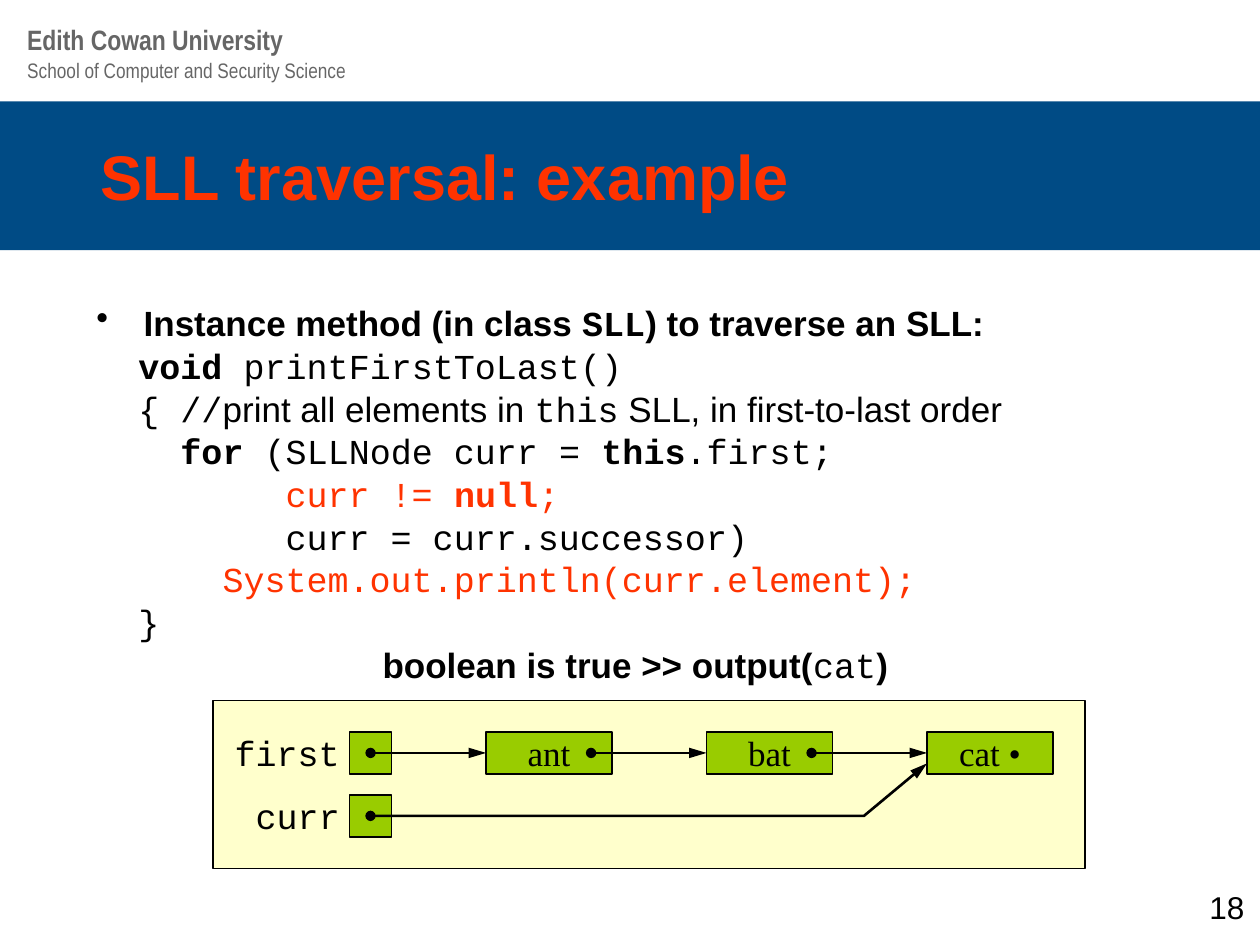
from dataclasses import dataclass

from lxml import etree
from pptx import Presentation
from pptx.dml.color import RGBColor
from pptx.enum.shapes import MSO_CONNECTOR, MSO_SHAPE
from pptx.enum.text import MSO_ANCHOR, PP_ALIGN
from pptx.oxml.ns import qn
from pptx.util import Pt

RECT = MSO_SHAPE.RECTANGLE
LINE = MSO_CONNECTOR.STRAIGHT
TOP, MID = MSO_ANCHOR.TOP, MSO_ANCHOR.MIDDLE
LEFT, MIDST, RIGHT = PP_ALIGN.LEFT, PP_ALIGN.CENTER, PP_ALIGN.RIGHT


@dataclass(frozen=True)
class Theme:
    """Colours, fonts and type sizes of the slide."""
    blue: str = "004B85"
    red: str = "FF3300"
    grey: str = "666666"
    black: str = "000000"
    cream: str = "FFFFCC"
    green: str = "99CC00"
    sans: str = "Arial"
    slim: str = "Arial Narrow"
    mono: str = "Courier New"
    serif: str = "Times New Roman"
    title: int = 36
    body: int = 20
    page: int = 18
    head: int = 16
    sub: int = 12


T = Theme()

CODE = [
    [("  void", T.mono, True), (" printFirstToLast()", T.mono)],
    [("  { //", T.mono), ("print all elements in ", T.sans),
     ("this", T.mono), (" SLL, in first-to-last order", T.sans)],
    [("    for", T.mono, True), (" (SLLNode curr = ", T.mono),
     ("this", T.mono, True), (".first;", T.mono)],
    [("         curr != ", T.mono, False, T.red),
     ("null", T.mono, True, T.red), (";", T.mono, False, T.red)],
    [("         curr = curr.successor)", T.mono)],
    [("      System.out.println(curr.element);", T.mono, False, T.red)],
    [("  }", T.mono)],
]
INTRO = [("Instance method (in class ", T.sans, True),
         ("SLL", T.mono, True), (") to traverse an SLL:", T.sans, True)]
RESULT = [("boolean is true >> output(", T.sans, True),
          ("cat", T.mono), (")", T.sans, True)]


def style(font, face, bold=False, color=T.black):
    """Set the face, weight and colour of a font."""
    font.name, font.bold = face, bold
    font.color.rgb = RGBColor.from_string(color)


def label(frame, text, size, face, bold=False, color=T.black,
          align=LEFT, anchor=TOP, inset=None):
    """Write one line of text in a frame."""
    frame.word_wrap, frame.vertical_anchor = True, anchor
    if inset is not None:
        frame.margin_left = frame.margin_right = Pt(inset)
        frame.margin_top = frame.margin_bottom = Pt(inset)
    para = frame.paragraphs[0]
    para.text, para.alignment = text, align
    para.font.size = Pt(size)
    style(para.font, face, bold, color)


def note(shapes, box, *args, **kwargs):
    """Add a text box with one line of text."""
    area = shapes.add_textbox(*map(Pt, box))
    label(area.text_frame, *args, **kwargs)


def block(shapes, box, fill, edge=True):
    """Add a flat filled rectangle."""
    rect = shapes.add_shape(RECT, *map(Pt, box))
    rect.shadow.inherit = False
    rect.fill.solid()
    rect.fill.fore_color.rgb = RGBColor.from_string(fill)
    if edge:
        rect.line.color.rgb = RGBColor.from_string(T.black)
        rect.line.width = Pt(0.75)
    else:
        rect.line.fill.background()
    return rect


def ink(shape, tip=True):
    """Give a line its stroke, round start and optional arrow tip."""
    shape.line.color.rgb = RGBColor.from_string(T.black)
    shape.line.width = Pt(1.5)
    stroke = shape.line._get_or_add_ln()
    etree.SubElement(stroke, qn("a:headEnd"), type="oval")
    if tip:
        etree.SubElement(stroke, qn("a:tailEnd"), type="triangle",
                         w="med", len="lg")


def link(shapes, x, y, node=None):
    """Draw a dot, with an arrow to the left side of a node if given."""
    wire = shapes.add_connector(LINE, Pt(x), Pt(y), Pt(x), Pt(y))
    if node is not None:
        wire.end_connect(node, 1)
    ink(wire, node is not None)
    etree.SubElement(wire._element.spPr, qn("a:effectLst"))


def header(shapes, box):
    """Place the school names above the title band."""
    x, y, w, h = box
    note(shapes, (x, y + 20, w, 22), "School of Computer and Security Science",
         T.sub, T.slim, color=T.grey)
    note(shapes, (x, y, w, 27), "Edith Cowan University",
         T.head, T.slim, True, T.grey)


def banner(shapes, box):
    """Place the blue band and its title."""
    x, y, w, h = box
    block(shapes, box, T.blue, edge=False)
    note(shapes, (x + 50.5, y + 15, 612, 54), "SLL traversal: example",
         T.title, T.sans, True, T.red, anchor=MID)


def listing(shapes, box):
    """Place the bulleted intro, the code lines and the result."""
    frame = shapes.add_textbox(*map(Pt, box)).text_frame
    frame.word_wrap = True
    rows = [INTRO, *CODE, RESULT]
    for num, row in enumerate(rows):
        para = frame.add_paragraph() if num else frame.paragraphs[0]
        para.line_spacing = 0.8
        if num:
            para.space_before = Pt(5.2)
        props = para._p.get_or_add_pPr()
        props.set("marL", str(Pt(27)))
        props.set("indent", str(Pt(-27)))
        if row is INTRO:
            etree.SubElement(props, qn("a:buChar"), char="•")
        para.alignment = MIDST if row is RESULT else LEFT
        para.font.size = Pt(T.body)
        for text, *look in row:
            run = para.add_run()
            run.text = text
            style(run.font, *look)


def diagram(shapes, box):
    """Place the linked list with its two references."""
    x, y, w, h = box
    parts = shapes.add_group_shape().shapes
    block(parts, box, T.cream)
    top, side, step = y + 18, 24, 126
    mid = top + side / 2
    nodes = []
    for num, word in enumerate(("ant", "bat", "cat •")):
        node = block(parts, (x + 156 + num * step, top, 72, side), T.green)
        label(node.text_frame, word, T.body, T.serif,
              align=MIDST, anchor=MID, inset=0)
        nodes.append(node)
    for num, word in enumerate(("first", "curr")):
        row = top + num * 36
        note(parts, (x + 6.5, row, 66, side), word, T.body, T.mono,
             align=RIGHT, inset=0)
        block(parts, (x + 78, row, side, side), T.green)
    for num, node in enumerate([*nodes, None]):
        link(parts, x + 90 + num * step, mid, node)
    pen = parts.build_freeform(Pt(x + 90), Pt(mid + 36))
    pen.add_line_segments([(Pt(x + 372), Pt(mid + 36)),
                           (Pt(x + 408), Pt(mid + 6))], close=False)
    bend = pen.convert_to_shape()
    bend.shadow.inherit = False
    bend.fill.background()
    ink(bend)


def main():
    """Build the slide and save it."""
    deck = Presentation()
    deck.slide_width, deck.slide_height = Pt(720), Pt(540)
    shapes = deck.slides.add_slide(deck.slide_layouts[6]).shapes
    header(shapes, (8.5, 9.5, 424, 42))
    banner(shapes, (0, 58, 720, 85))
    listing(shapes, (48, 173.5, 630, 222))
    note(shapes, (684, 504, 36, 24), "18", T.page, T.sans)
    diagram(shapes, (121.75, 400.25, 498.25, 96))
    deck.save("out.pptx")


if __name__ == "__main__":
    main()
